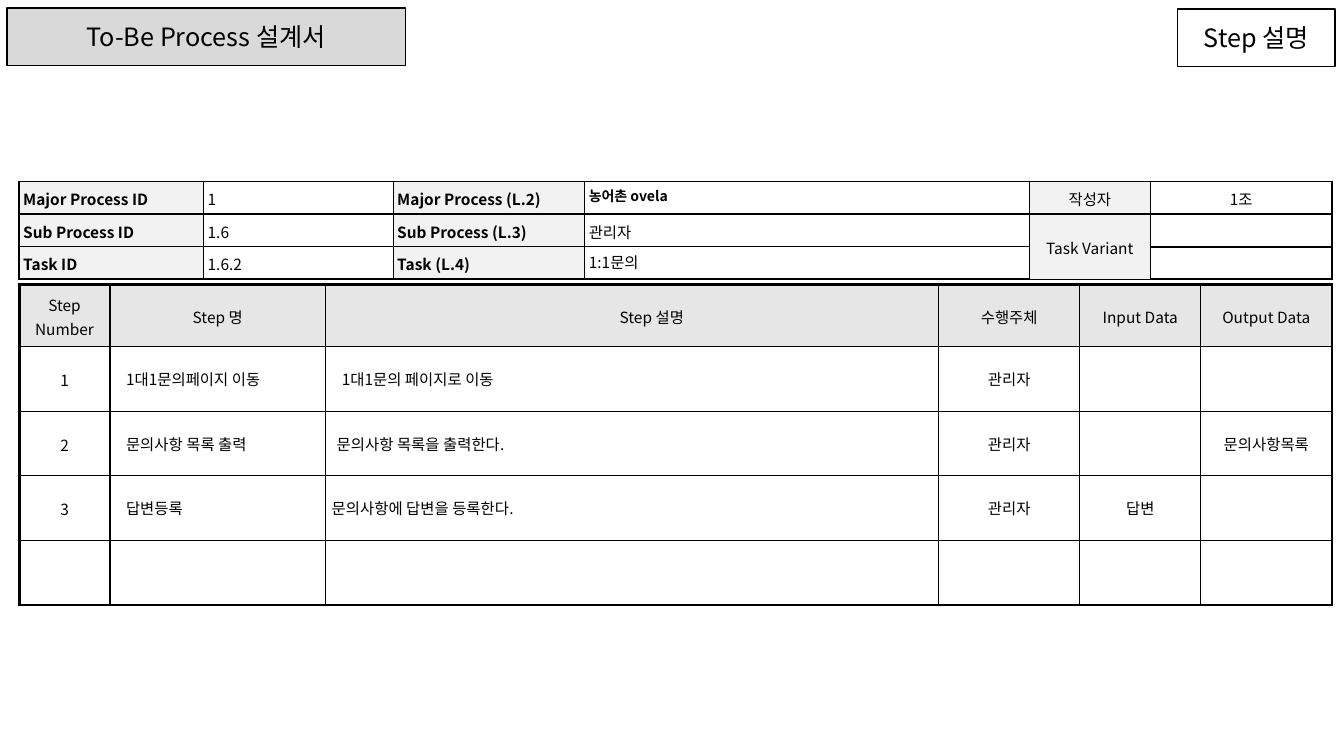
from dataclasses import dataclass

from lxml import etree
from pptx import Presentation
from pptx.dml.color import RGBColor
from pptx.enum.shapes import MSO_SHAPE
from pptx.enum.text import MSO_ANCHOR, PP_ALIGN
from pptx.oxml.ns import qn
from pptx.util import Pt

RECT = MSO_SHAPE.RECTANGLE
TOP, MIDDLE = MSO_ANCHOR.TOP, MSO_ANCHOR.MIDDLE
LEFT, CENTER = PP_ALIGN.LEFT, PP_ALIGN.CENTER
PX = 9144


@dataclass(frozen=True)
class Theme:
    """Colours, font and type sizes of the slide."""
    font: str = "Noto Sans CJK KR"
    ink: str = "000000"
    title: str = "D9D9D9"
    label: str = "F2F2F2"
    head: str = "E6E6E6"
    large: int = 18
    body: int = 11
    small: int = 10
    thin: float = 1
    mid: float = 1.5
    thick: float = 2.25


THEME = Theme()


@dataclass
class Style:
    """Look of the text and fill in one cell."""
    fill: str = ""
    size: int = THEME.body
    bold: bool = False
    align: int = LEFT
    anchor: int = MIDDLE
    space: float = 1.0
    indent: int = 0


def paint(fill, shade):
    """Fill with a colour, or leave clear."""
    if shade:
        fill.solid()
        fill.fore_color.rgb = RGBColor.from_string(shade)
    else:
        fill.background()


def write(frame, text, style):
    """Write one run of styled text into a frame."""
    para = frame.paragraphs[0]
    para.alignment = style.align
    para.line_spacing = style.space
    if style.indent:
        props = para._p.get_or_add_pPr()
        props.set("marL", str(style.indent * PX))
        props.set("indent", "0")
    if not text:
        etree.SubElement(para._p, qn("a:endParaRPr"), sz=str(style.size * 100))
        return
    run = para.add_run()
    run.text = text
    font = run.font
    font.name, font.size, font.bold = THEME.font, Pt(style.size), style.bold
    font.color.rgb = RGBColor.from_string(THEME.ink)
    etree.SubElement(font._element, qn("a:ea"), typeface=THEME.font)


def rule(cell, sides):
    """Draw the four borders of a cell."""
    props = cell._tc.get_or_add_tcPr()
    for side, width in zip("LRTB", sides):
        line = etree.SubElement(props, qn(f"a:ln{side}"), w=str(Pt(width)))
        solid = etree.SubElement(line, qn("a:solidFill"))
        etree.SubElement(solid, qn("a:srgbClr"), val=THEME.ink)


def grid(slide, box, cols, highs, texts, look, inset, outer, heavy, merge=()):
    """Place a ruled table whose cell looks follow the look function."""
    last, end = len(highs), len(cols)
    dims = [n * PX for n in (*box, sum(cols), sum(highs))]
    table = slide.shapes.add_table(last, end, *dims).table
    table.first_row = table.horz_banding = False
    for col, width in zip(table.columns, cols):
        col.width = width * PX
    for row, high in zip(table.rows, highs):
        row.height = high * PX
    left, right, top, base = outer
    for r, line in enumerate(texts):
        for c, text in enumerate(line):
            cell, style = table.cell(r, c), look(r, c)
            cell.margin_left = cell.margin_right = inset * PX
            cell.margin_top = cell.margin_bottom = 4 * PX
            cell.vertical_anchor = style.anchor
            write(cell.text_frame, text, style)
            rule(cell, (left if c == 0 else THEME.thin,
                        right if c == end - 1 else THEME.thin,
                        top if r == 0 else heavy.get((r, c), THEME.thin),
                        base if r == last - 1 else heavy.get((r + 1, c), THEME.thin)))
            paint(cell.fill, style.fill)
    for start, stop in merge:
        table.cell(*start).merge(table.cell(*stop))


def banner(slide, box, text, shade=""):
    """Place a framed title box."""
    shape = slide.shapes.add_shape(RECT, *[n * PX for n in box])
    shape.shadow.inherit = False
    paint(shape.fill, shade)
    shape.line.color.rgb = RGBColor.from_string(THEME.ink)
    shape.line.width = Pt(THEME.thin)
    frame = shape.text_frame
    frame.word_wrap = True
    frame.vertical_anchor = MIDDLE
    write(frame, text, Style(size=THEME.large, align=CENTER))


def summary(slide, box):
    """Place the table that names the process."""
    texts = [
        ["Major Process ID", "1", "Major Process (L.2)", "농어촌 ovela", "작성자", "1조"],
        ["Sub Process ID", "1.6", "Sub Process (L.3)", "관리자", "Task Variant", ""],
        ["Task ID", "1.6.2", "Task (L.4)", "1:1문의", "", ""],
    ]

    def look(r, c):
        """Shade the labels and centre the two right columns."""
        style = Style(fill=THEME.label if c in (0, 2, 4) else "", anchor=TOP,
                      bold=c in (0, 2), space=1.1)
        if c > 3:
            style.align, style.anchor = CENTER, MIDDLE
        if c == 3 and r != 1:
            style.space = 1.0
        if (r, c) == (0, 3):
            style.size, style.bold = THEME.small, True
        return style

    mid = THEME.mid
    heavy = {(1, 4): mid, (1, 5): mid, (2, 5): mid}
    grid(slide, box, [183, 188, 190, 441, 120, 180], [31] * 3, texts, look, 4,
         (mid,) * 4, heavy, [((1, 4), (2, 4))])


def steps(slide, box):
    """Place the table of task steps."""
    texts = [
        ["Step Number", "Step 명", "Step 설명", "수행주체", "Input Data", "Output Data"],
        ["1", "1대1문의페이지 이동", "1대1문의 페이지로 이동", "관리자", "", ""],
        ["2", "문의사항 목록 출력", "문의사항 목록을 출력한다.", "관리자", "", "문의사항목록"],
        ["3", "답변등록", "문의사항에 답변을 등록한다.", "관리자", "답변", ""],
        [""] * 6,
    ]
    indents = {(0, 2): 39, (1, 2): 10, (2, 2): 5}

    def look(r, c):
        """Shade the head row and left-align the two wide columns."""
        wide = r > 0 and c in (1, 2)
        return Style(fill="" if r else THEME.head,
                     align=LEFT if wide else CENTER,
                     space=1.1 if r == 0 or c == 0 else 1.0,
                     indent=indents.get((r, c), 10 if wide and c == 1 else 0))

    thick = THEME.thick
    grid(slide, box, [90, 214, 608, 140, 120, 130], [62] + [64] * 4, texts, look, 6,
         (thick, thick, thick, THEME.mid), {})


def main():
    """Build the slide and save it."""
    deck = Presentation()
    deck.slide_width, deck.slide_height = 1333 * PX, 750 * PX
    slide = deck.slides.add_slide(deck.slide_layouts[6])
    summary(slide, (19, 180))
    steps(slide, (19, 282))
    banner(slide, (7, 8, 395, 57), "To-Be Process 설계서", THEME.title)
    banner(slide, (1168, 9, 156, 57), "Step 설명")
    deck.save("out.pptx")


if __name__ == "__main__":
    main()
